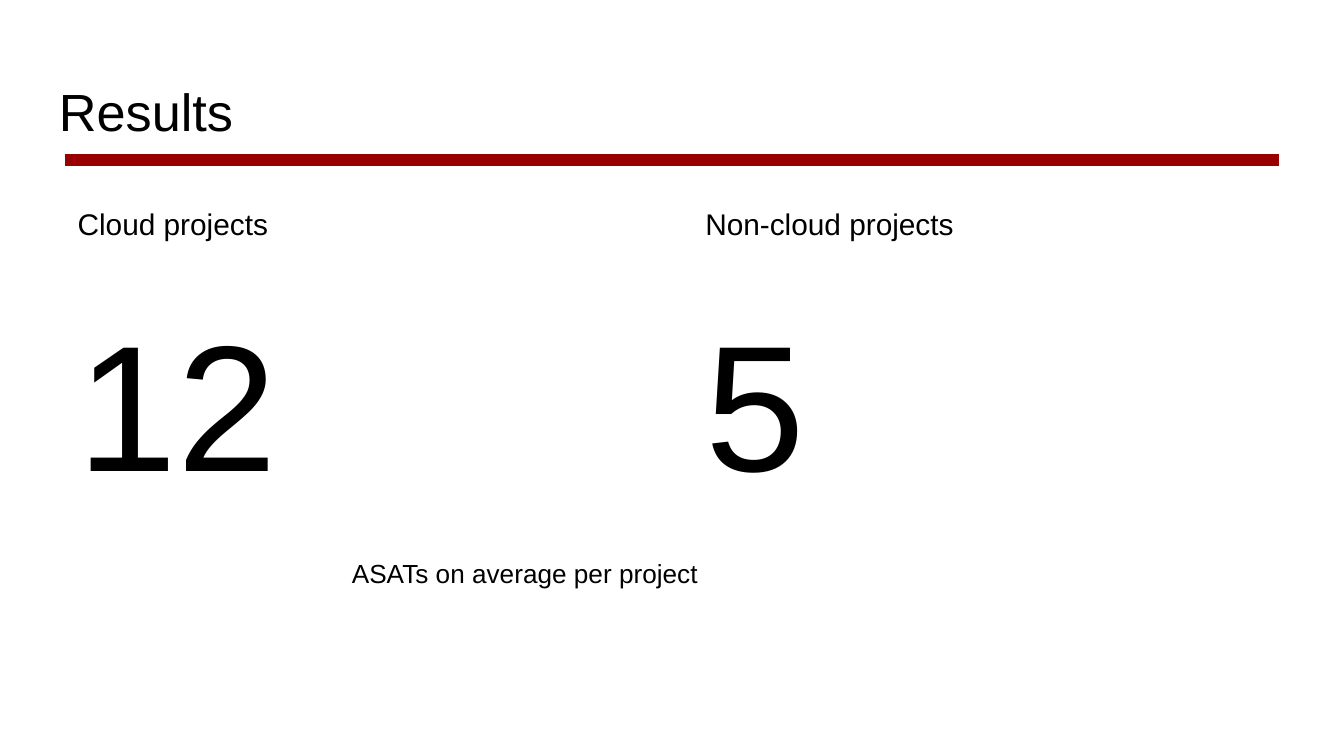
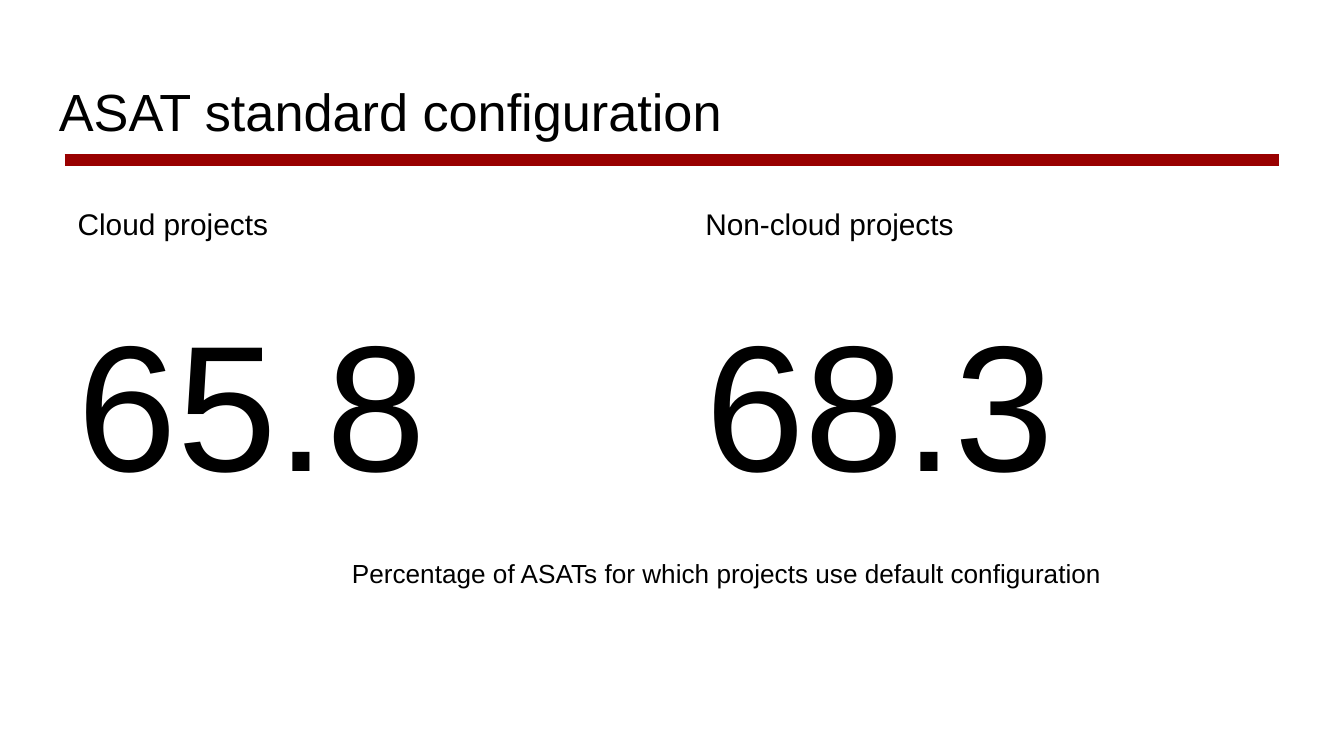
from dataclasses import dataclass

from lxml.etree import SubElement
from pptx import Presentation
from pptx.dml.color import RGBColor as Rgb
from pptx.enum.shapes import MSO_CONNECTOR as Conn
from pptx.oxml.ns import qn
from pptx.slide import Slide
from pptx.util import Inches, Pt

FONT = "Arial"
BLACK, WHITE, RED = "000000", "FFFFFF", "990000"
WIDE = Inches(10)
SIZE = {"slide_width": WIDE, "slide_height": WIDE * 9 // 16}
LEFT, RIGHT = 0.48, 9.52
COLS = (LEFT, 5.15)
HEADS = ("Cloud projects", "Non-cloud projects")
INSET = Inches(0.1)
FRAME = {
    "word_wrap": True,
    "margin_left": INSET,
    "margin_top": INSET,
    "margin_right": INSET,
    "margin_bottom": INSET,
}
HEAD = {"line_spacing": 1.15}
VALUE = {"line_spacing": 1.15, "space_before": Pt(10)}


@dataclass(frozen=True)
class Line:
    text: str
    size: int
    form: dict


@dataclass(frozen=True)
class Page:
    title: str
    values: tuple[str, str]
    note: str
    width: float


PAGES = (
    Page("Results", ("12", "5"), "ASATs on average per project", 2.94),
    Page(
        "ASAT standard configuration",
        ("65.8", "68.3"),
        "Percentage of ASATs for which projects use default configuration",
        5.95,
    ),
)


def color(code: str) -> Rgb:
    return Rgb.from_string(code)


def apply(target: object, form: dict) -> None:
    for name, value in form.items():
        setattr(target, name, value)


def add_text(slide: Slide, box: tuple[float, ...], *lines: Line, fill: str = "") -> None:
    """Add a text box at (left, top, width, height) with one paragraph per line."""
    shape = slide.shapes.add_textbox(*map(Inches, box))
    if fill:
        shape.fill.solid()
        shape.fill.fore_color.rgb = color(fill)
    frame = shape.text_frame
    apply(frame, FRAME)
    for i, line in enumerate(lines):
        para = frame.add_paragraph() if i else frame.paragraphs[0]
        apply(para, line.form)
        run = para.add_run()
        run.text = line.text
        apply(run.font, {"name": FONT, "size": Pt(line.size)})
        run.font.color.rgb = color(BLACK)


def add_rule(slide: Slide) -> None:
    y = Inches(1.19)
    rule = slide.shapes.add_connector(Conn.STRAIGHT, Inches(LEFT), y, Inches(RIGHT), y)
    rule.line.width = Pt(6)
    rule.line.color.rgb = color(RED)
    SubElement(rule._element.spPr, qn("a:effectLst"))


def add_page(slide: Slide, page: Page) -> None:
    add_text(slide, (0.34, 0.49, 9.32, 0.63), Line(page.title, 28, {}), fill=WHITE)
    add_rule(slide)
    for left, head, value in zip(COLS, HEADS, page.values):
        add_text(
            slide,
            (left, 1.39, 4.37, 2.26),
            Line(head, 16, HEAD),
            Line(value, 96, VALUE),
        )
    add_text(slide, (2.52, 4.05, page.width, 0.56), Line(page.note, 14, {}))


def main() -> None:
    deck = Presentation()
    apply(deck, SIZE)
    blank = deck.slide_layouts[6]
    for page in PAGES:
        add_page(deck.slides.add_slide(blank), page)
    deck.save("out.pptx")


if __name__ == "__main__":
    main()
